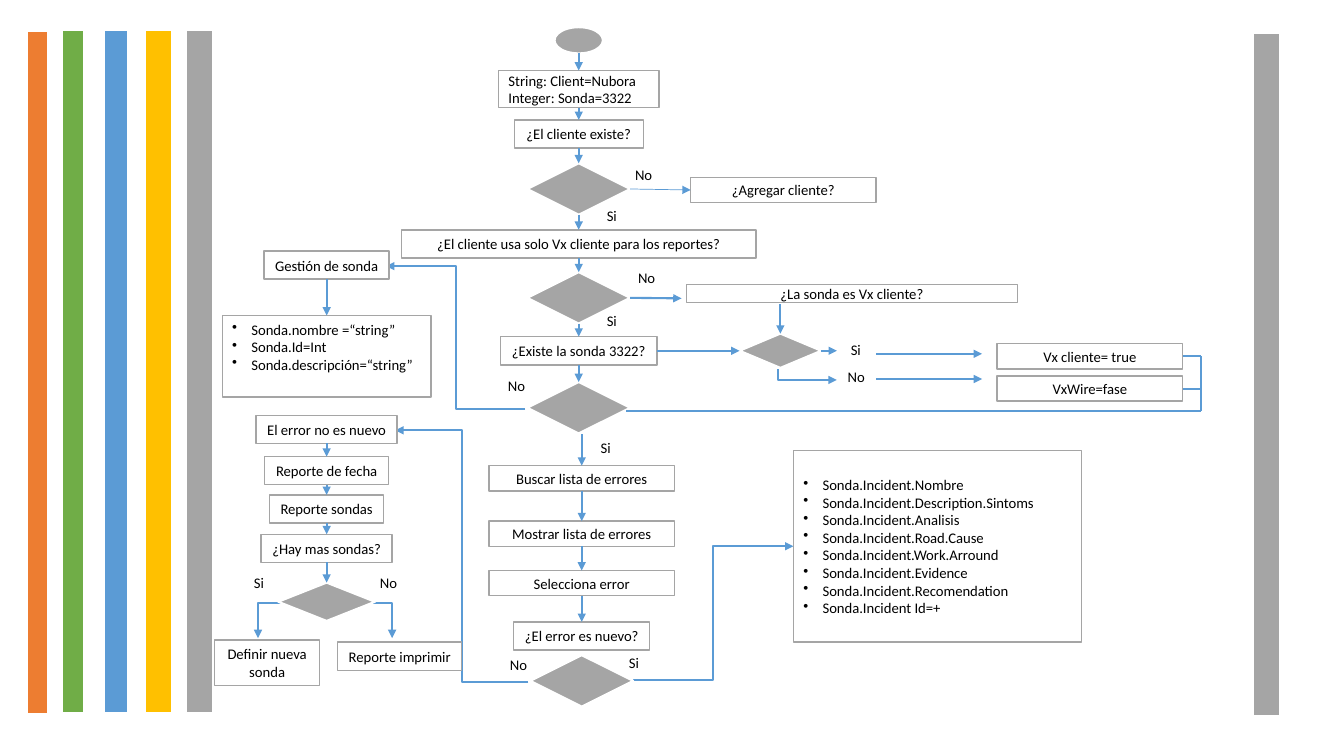
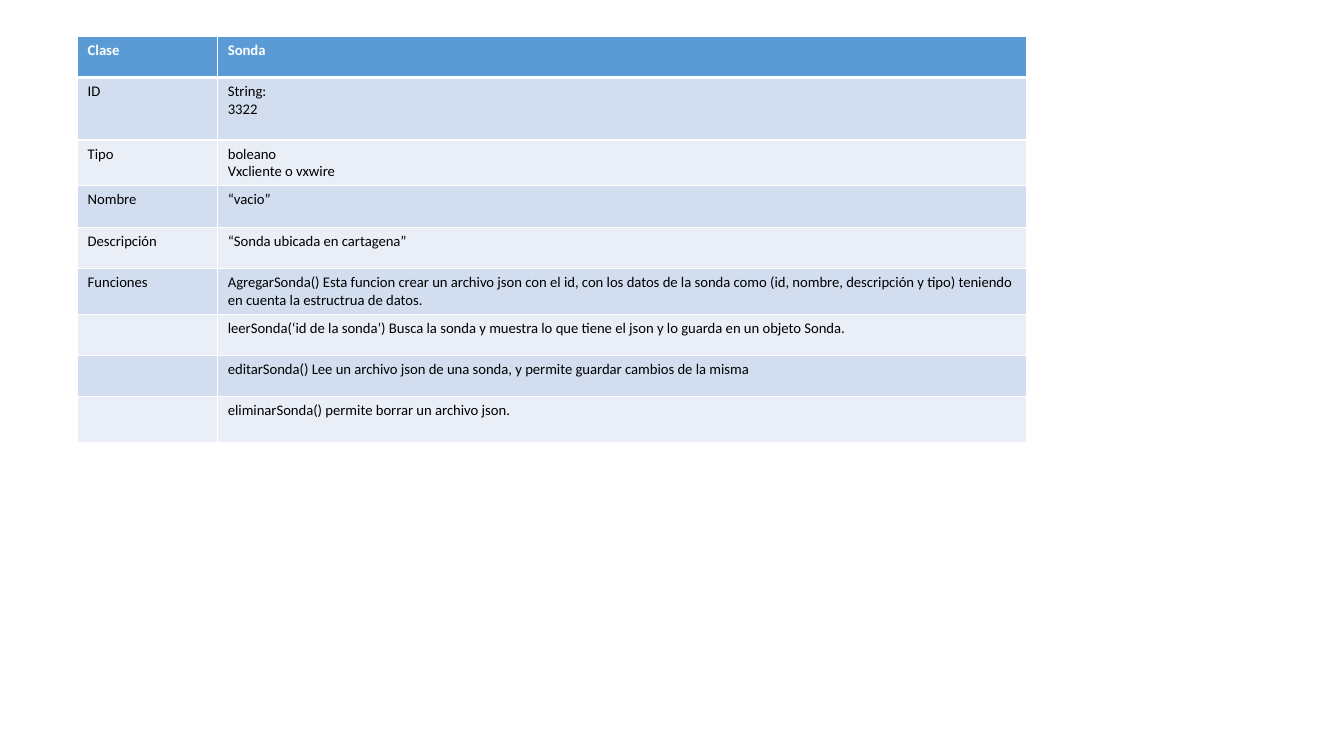
import itertools

import pptx
import pptx.dml.color
import pptx.enum.shapes
import pptx.enum.text
import pptx.oxml
import pptx.oxml.ns
import pptx.util

RGBColor = pptx.dml.color.RGBColor
Shape = pptx.enum.shapes.MSO_SHAPE
Connector = pptx.enum.shapes.MSO_CONNECTOR
Align = pptx.enum.text.PP_ALIGN
Anchor = pptx.enum.text.MSO_ANCHOR
qn = pptx.oxml.ns.qn

ORANGE = RGBColor(0xED, 0x7D, 0x31)
GREEN = RGBColor(0x70, 0xAD, 0x47)
BLUE = RGBColor(0x5B, 0x9B, 0xD5)
GOLD = RGBColor(0xFF, 0xC0, 0x00)
GRAY = RGBColor(0xA5, 0xA5, 0xA5)
BLACK = RGBColor(0x00, 0x00, 0x00)
WHITE = RGBColor(0xFF, 0xFF, 0xFF)
BAND_DARK = RGBColor(0xD2, 0xDE, 0xEF)
BAND_LIGHT = RGBColor(0xEA, 0xEF, 0xF7)

# The grid has 133.3 columns and 75 rows, each a tenth of an inch
CELL = 0.1
COLUMNS, ROWS = 133.3, 75
TOP, LEFT, BOTTOM, RIGHT = 0, 1, 2, 3
BOX_HEIGHT, BAR_HEIGHT = 2.8, 2.5
FONT = {"name": "Calibri", "size": pptx.util.Pt(10.5), "bold": False}


def grid(*lengths):
    return [pptx.util.Inches(length * CELL) for length in lengths]


def set_values(target, values):
    for name, value in values.items():
        setattr(target, name, value)


class Deck:
    """Holds the shared style and the slide being drawn."""

    def __init__(self):
        self.presentation = pptx.Presentation()
        width, height = grid(COLUMNS, ROWS)
        set_values(self.presentation, {"slide_width": width, "slide_height": height})
        self.slide = None

    def new_slide(self):
        self.slide = self.presentation.slides.add_slide(self.presentation.slide_layouts[6])

    def add_text(self, frame, lines, align=Align.LEFT, color=BLACK, bullets=False, **font):
        for index, line in enumerate(lines):
            paragraph = frame.paragraphs[0] if index == 0 else frame.add_paragraph()
            paragraph.alignment = align
            run = paragraph.add_run()
            run.text = line
            set_values(run.font, {**FONT, **font})
            run.font.color.rgb = color
            if bullets:
                properties = paragraph._p.get_or_add_pPr()
                indent = pptx.util.Inches(0.19)
                properties.set("marL", str(indent))
                properties.set("indent", str(-indent))
                bullet = pptx.oxml.parse_xml(
                    f'<a:buChar {pptx.oxml.ns.nsdecls("a")} char="•"/>')
                properties.append(bullet)

    def shape(self, kind, left, top, width, height, fill=GRAY, line=WHITE, weight=1.5):
        shape = self.slide.shapes.add_shape(kind, *grid(left, top, width, height))
        shape.shadow.inherit = False
        shape.fill.solid()
        shape.fill.fore_color.rgb = fill
        shape.line.color.rgb = line
        shape.line.width = pptx.util.Pt(weight)
        return shape

    def diamond(self, center, top, width=10.2, height=5.1):
        return self.shape(Shape.DIAMOND, center - width / 2, top, width, height)

    def box(self, center, top, width, height, *lines, align=Align.CENTER,
            anchor=Anchor.MIDDLE, bullets=False):
        shape = self.shape(Shape.RECTANGLE, center - width / 2, top, width, height,
                           WHITE, GRAY, 1)
        set_values(shape.text_frame, {"word_wrap": align == Align.LEFT,
                                      "vertical_anchor": anchor})
        self.add_text(shape.text_frame, lines, align, bullets=bullets)
        return shape

    def label(self, text, left, top):
        shape = self.slide.shapes.add_textbox(*grid(left, top, 3.7, BOX_HEIGHT))
        set_values(shape.text_frame, {"word_wrap": True, "margin_right": 0})
        self.add_text(shape.text_frame, [text])

    def line(self, begin, end, kind=Connector.STRAIGHT, arrow="tailEnd", weight=1.5,
             single_bend=False):
        """Each end is a grid point or a pair of a shape and one of its sides."""
        joined = [not isinstance(place[0], (int, float)) for place in (begin, end)]
        points = [(0, 0) if glued else place for glued, place in zip(joined, (begin, end))]
        connector = self.slide.shapes.add_connector(kind, *grid(*points[0], *points[1]))
        if joined[0]:
            connector.begin_connect(*begin)
        if joined[1]:
            connector.end_connect(*end)
        connector.line.color.rgb = BLUE
        connector.line.width = pptx.util.Pt(weight)
        properties = connector._element.spPr
        if single_bend:
            properties.find(qn("a:prstGeom")).set("prst", "bentConnector2")
        if arrow:
            properties.find(qn("a:ln")).append(pptx.oxml.parse_xml(
                f'<a:{arrow} {pptx.oxml.ns.nsdecls("a")} type="triangle"/>'))
        properties.append(pptx.oxml.parse_xml(
            f'<a:effectLst {pptx.oxml.ns.nsdecls("a")}/>'))

    def flow(self, *shapes):
        for upper, lower in itertools.pairwise(shapes):
            self.line((upper, BOTTOM), (lower, TOP))

    def table(self, left, top, widths, heights, rows):
        frame = self.slide.shapes.add_table(
            len(rows), len(widths), *grid(left, top, sum(widths), sum(heights)))
        table = frame.table
        for column, width in zip(table.columns, grid(*widths)):
            column.width = width
        for row, height in zip(table.rows, grid(*heights)):
            row.height = height
        for index, texts in enumerate(rows):
            header = index == 0
            fill = BLUE if header else BAND_DARK if index % 2 else BAND_LIGHT
            for cell, text in zip(table.rows[index].cells, texts):
                cell.fill.solid()
                cell.fill.fore_color.rgb = fill
                if text:
                    self.add_text(cell.text_frame, text.split("\n"),
                                  color=WHITE if header else BLACK, bold=header)
                self.borders(cell, 3 if header else 1, 3 if index == 1 else 1)

    def borders(self, cell, bottom, top):
        properties = cell._tc.get_or_add_tcPr()
        weights = {"lnL": 1, "lnR": 1, "lnT": top, "lnB": bottom}
        for index, (side, weight) in enumerate(weights.items()):
            properties.insert(index, pptx.oxml.parse_xml(
                f'<a:{side} {pptx.oxml.ns.nsdecls("a")} w="{pptx.util.Pt(weight)}">'
                f'<a:solidFill><a:srgbClr val="{WHITE}"/></a:solidFill></a:{side}>'))


def draw_flowchart(deck):
    deck.new_slide()

    # Side stripes
    for left, top, width, color in [
            (2.7, 3.1, 2.1, ORANGE), (6.1, 3, 2.2, GREEN), (10.3, 3, 2.4, BLUE),
            (14.4, 3, 2.7, GOLD), (18.4, 3, 2.7, GRAY), (124.3, 3.3, 2.7, GRAY)]:
        deck.shape(Shape.RECTANGLE, left, top, width, 67.7, color)

    # Bent arrows
    for begin, end in [((62.8, 67.5), (78.7, 54.2)), ((52.1, 40.6), (38.3, 26.4)),
                       ((52.4, 67.7), (39.2, 42.7))]:
        deck.line(begin, end, Connector.ELBOW)
    for begin, end, arrow in [((36.6, 59.8), (38.9, 63.3), "tailEnd"),
                              ((27.9, 59.8), (25.6, 63.3), "tailEnd"),
                              ((83, 37.7), (77.2, 36.6), "headEnd")]:
        deck.line(begin, end, Connector.ELBOW, arrow, single_bend=True)

    # Main column: client and probe checks
    main_center = 57.4
    start = deck.shape(Shape.OVAL, main_center - 2.4, 2.7, 4.8, 2.6)
    values = deck.box(main_center, 7, 15.9, 3.7, "String: Client=Nubora",
                      "Integer: Sonda=3322", align=Align.LEFT)
    client = deck.box(main_center, 11.9, 12.8, BOX_HEIGHT, "¿El cliente existe?")
    client_choice = deck.diamond(main_center, 16.2)
    reports = deck.box(main_center, 22.8, 35.2, BOX_HEIGHT,
                       "¿El cliente usa solo Vx cliente para los reportes?")
    reports_choice = deck.diamond(main_center, 27)
    probe = deck.box(main_center, 33.4, 15.5, BOX_HEIGHT, "¿Existe la sonda 3322?")
    probe_choice = deck.diamond(main_center, 37.9)
    deck.flow(start, values, client, client_choice, reports, reports_choice,
              probe, probe_choice)

    # Main column: errors
    error_center = 57.7
    search, show, select = [
        deck.box(error_center, top, 18.4, BAR_HEIGHT, text) for top, text in [
            (46.2, "Buscar lista de errores"), (51.7, "Mostrar lista de errores"),
            (56.6, "Selecciona error")]]
    new_error = deck.box(error_center, 61.7, 13.5, BOX_HEIGHT, "¿El error es nuevo?")
    deck.diamond(error_center, 65)
    deck.line((error_center, 43.1), (search, TOP))
    deck.flow(search, show, select, new_error)

    # Right branch: kind of probe
    add_client = deck.box(77.7, 17.6, 18.4, BAR_HEIGHT, "¿Agregar cliente?")
    deck.box(84.5, 28.2, 32.8, 1.8, "¿La sonda es Vx cliente?")
    kind_choice = deck.diamond(77.4, 33.1, 8.1, 3.4)
    results = [deck.box(108.1, top, 18.4, BAR_HEIGHT, text) for top, text in [
        (34.1, "Vx cliente= true"), (37.3, "VxWire=fase")]]
    deck.line((client_choice, RIGHT), (add_client, LEFT), weight=0.5)
    deck.line((reports_choice, RIGHT), (67.6, 29.6))
    deck.line((probe, RIGHT), (kind_choice, LEFT))
    deck.line((77.4, 30.2), (kind_choice, TOP))
    deck.line((kind_choice, RIGHT), (83, 34.8))
    for row in (35.1, 37.6):
        deck.line((86.9, row), (97.4, row))

    # Return path to the probe check
    back, floor = 119.1, 40.8
    for result, row in zip(results, (35.35, 38.55)):
        deck.line((result, RIGHT), (back, row), arrow=None)
    deck.line((back, 35.35), (back, floor), arrow=None)
    deck.line((62.1, floor), (back, floor), arrow=None)

    # Incident fields
    deck.box(93, 44.7, 28.6, 19, *[f"Sonda.Incident{field}" for field in [
        ".Nombre", ".Description.Sintoms", ".Analisis", ".Road.Cause", ".Work.Arround",
        ".Evidence", ".Recomendation", " Id=+"]], align=Align.LEFT, bullets=True)

    # Left column
    side_center = 32.4
    management = deck.box(side_center, 24.9, 12.4, BOX_HEIGHT, "Gestión de sonda")
    fields = deck.box(side_center, 31.3, 20.7, 8.1, "Sonda.nombre =“string”",
                      "Sonda.Id=Int", "Sonda.descripción=“string”", align=Align.LEFT,
                      anchor=Anchor.TOP, bullets=True)
    deck.flow(management, fields)
    steps = [deck.box(side_center, top, width, BOX_HEIGHT, text) for top, width, text in [
        (41.2, 14, "El error no es nuevo"), (45.3, 12.3, "Reporte de fecha"),
        (49.1, 11.3, "Reporte sondas"), (53, 13, "¿Hay mas sondas?")]]
    deck.flow(*steps, deck.diamond(side_center, 57.8, 9.6, 3.8))
    deck.box(39.65, 63.7, 12.3, BOX_HEIGHT, "Reporte imprimir")
    deck.box(26.5, 63.5, 10.4, 4.5, "Definir nueva", "sonda")

    # Answers beside the choices
    answers = {
        "Si": [(83.4, 33.3), (59.2, 20), (59.2, 30.4), (58.6, 43), (61.4, 64.4), (24.2, 56.4)],
        "No": [(83.1, 36), (62, 16), (62.3, 26.2), (49.4, 36.9), (49.6, 64.6), (36.7, 56.4)]}
    for text, places in answers.items():
        for place in places:
            deck.label(text, *place)


def draw_class_table(deck):
    deck.new_slide()
    deck.table(7.7, 3.6, [13.9, 80.2], [4.1, 6.2, 4.5, 4.1, 4.1, 4.5, 4.1, 4.1, 4.5], [
        ("Clase", "Sonda"),
        ("ID", "String:\n3322"),
        ("Tipo", "boleano\nVxcliente o vxwire"),
        ("Nombre", "“vacio”"),
        ("Descripción", "“Sonda ubicada en cartagena”"),
        ("Funciones", "AgregarSonda() Esta funcion crear un archivo json con el id, con los "
         "datos de la sonda como (id, nombre, descripción y tipo) teniendo en cuenta la "
         "estructrua de datos."),
        ("", "leerSonda(‘id de la sonda’) Busca la sonda y muestra lo que tiene el json y lo "
         "guarda en un objeto Sonda."),
        ("", "editarSonda() Lee un archivo json de una sonda, y permite guardar cambios de "
         "la misma"),
        ("", "eliminarSonda() permite borrar un archivo json.")])


def main():
    deck = Deck()
    draw_flowchart(deck)
    draw_class_table(deck)
    deck.presentation.save("out.pptx")


if __name__ == "__main__":
    main()
